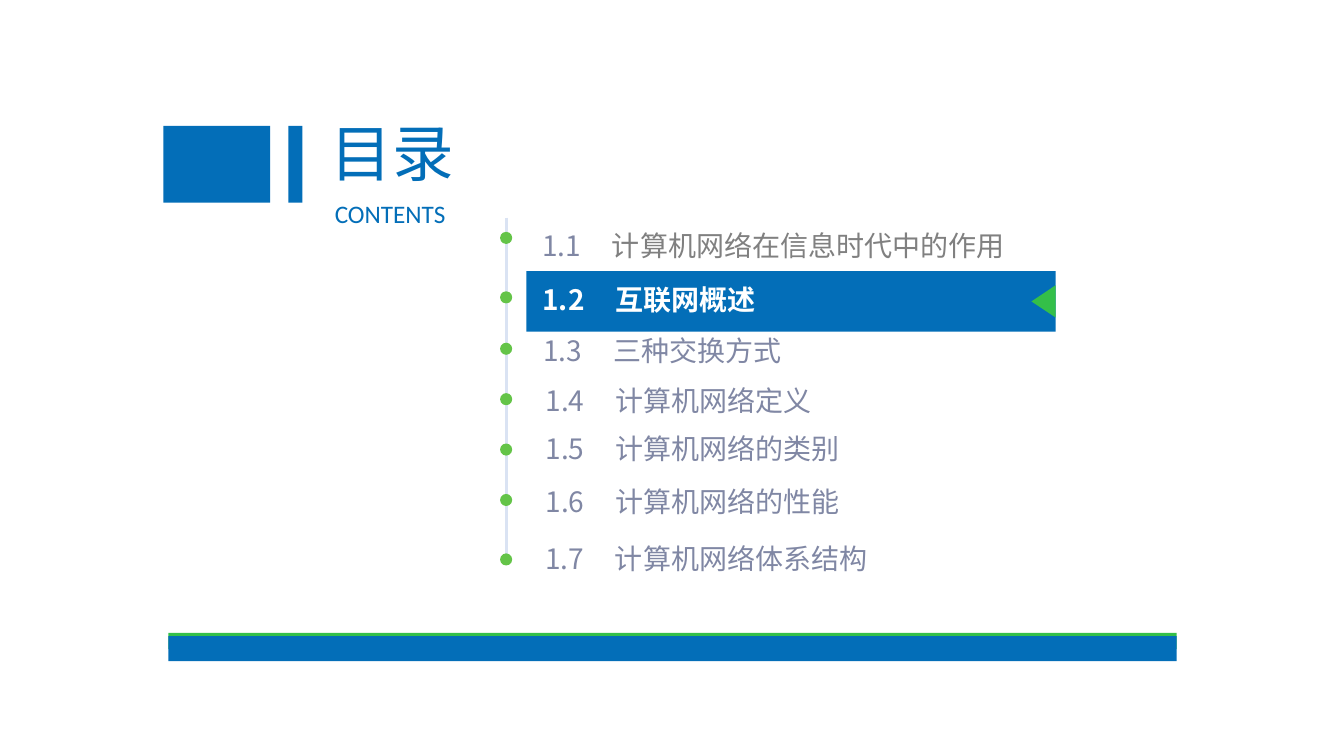
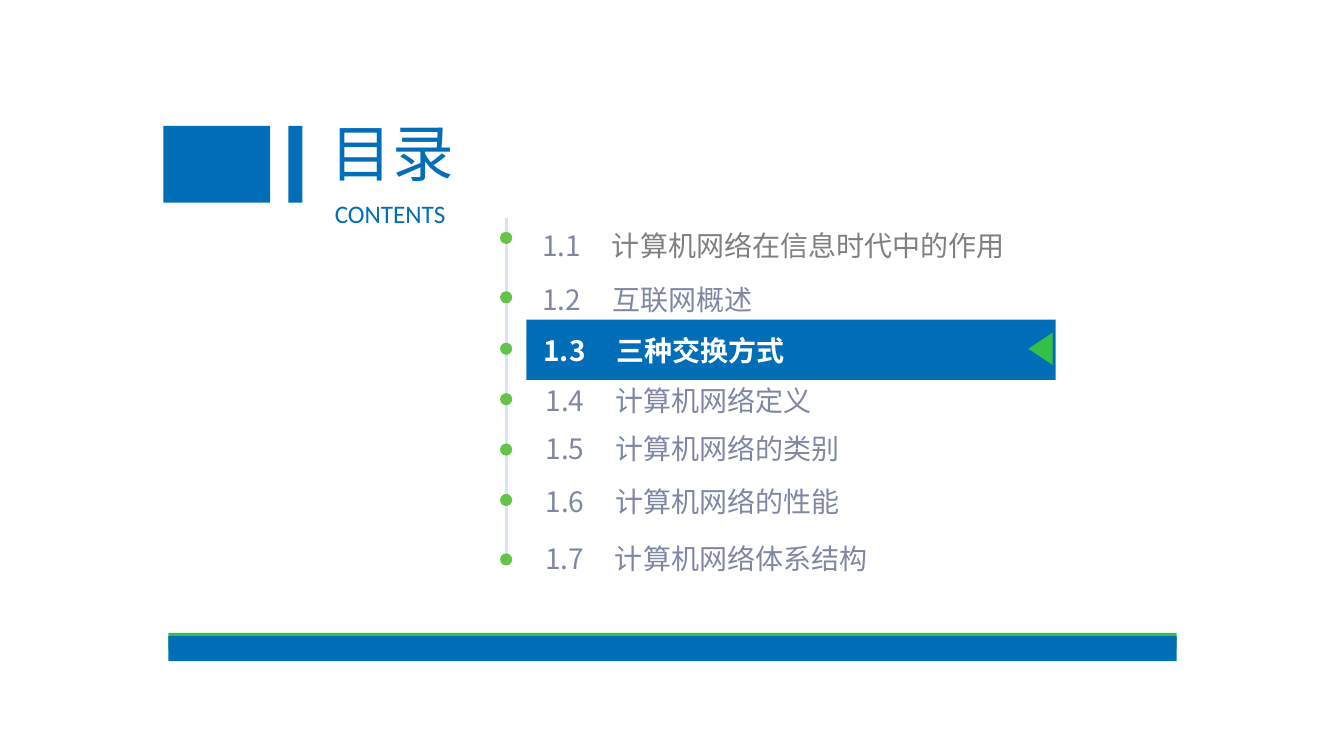
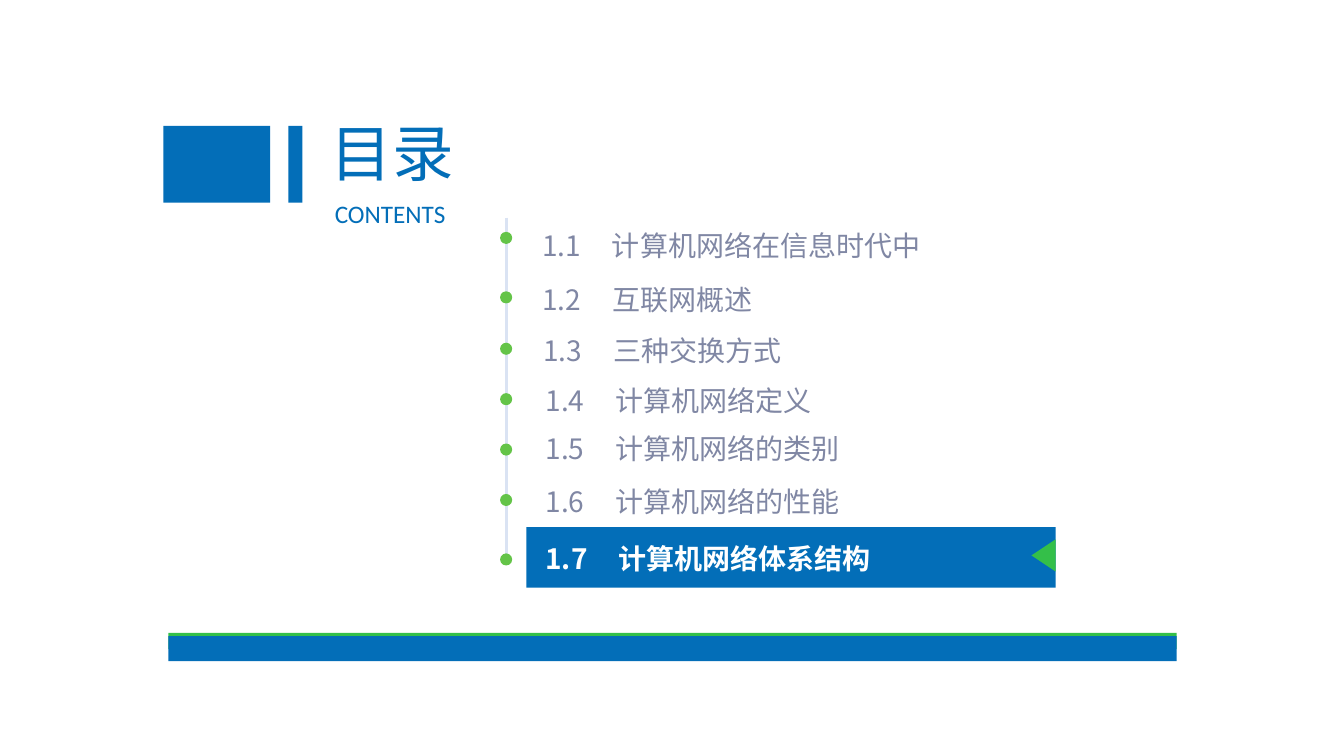
from typing import NamedTuple

from lxml.etree import SubElement
from pptx import Presentation
from pptx.dml.color import RGBColor
from pptx.enum.shapes import MSO_CONNECTOR, MSO_SHAPE
from pptx.enum.text import MSO_AUTO_SIZE
from pptx.oxml.ns import qn
from pptx.oxml.xmlchemy import OxmlElement
from pptx.shapes.autoshape import Shape
from pptx.slide import Slide
from pptx.text.text import _Paragraph
from pptx.util import Inches, Pt

BLUE = RGBColor(0x03, 0x6E, 0xB8)
GREEN = RGBColor(0x34, 0xBF, 0x49)
DOT_GREEN = RGBColor(0x64, 0xC4, 0x48)
RAIL = RGBColor(0xDA, 0xE3, 0xF3)
SLATE = RGBColor(0x80, 0x87, 0xA4)
GRAY = RGBColor(0x80, 0x80, 0x80)
WHITE = RGBColor(0xFF, 0xFF, 0xFF)
CJK_FONT = "Noto Sans CJK SC"
LATIN_FONT = "Calibri"

RAIL_X = 5.02
DOT_SIZE = 0.12


class Box(NamedTuple):
    left: float
    top: float
    width: float
    height: float


class Bar(NamedTuple):
    box: Box
    color: RGBColor


class Entry(NamedTuple):
    number: str
    title: str
    left: float
    top: float
    dot_y: float


class Agenda(NamedTuple):
    active: str
    band_top: float
    arrow_left: float
    arrow_top: float
    first_title: str
    first_color: RGBColor


BARS = [
    Bar(Box(1.62, 1.25, 1.06, 0.76), BLUE),
    Bar(Box(2.86, 1.25, 0.14, 0.76), BLUE),
    Bar(Box(1.67, 6.28, 10, 0.16), GREEN),
    Bar(Box(1.67, 6.31, 10, 0.25), BLUE),
]

FIRST_TITLE = "计算机网络在信息时代中的作用"

ENTRIES = [
    Entry("1.1", FIRST_TITLE, 5.38, 2.27, 2.36),
    Entry("1.2", "互联网概述", 5.38, 2.8, 2.95),
    Entry("1.3", "三种交换方式", 5.39, 3.31, 3.46),
    Entry("1.4", "计算机网络定义", 5.41, 3.8, 3.96),
    Entry("1.5", "计算机网络的类别", 5.41, 4.28, 4.46),
    Entry("1.6", "计算机网络的性能", 5.41, 4.81, 4.96),
    Entry("1.7", "计算机网络体系结构", 5.41, 5.37, 5.55),
]

AGENDAS = [
    Agenda("1.2", 2.69, 10.19, 2.87, FIRST_TITLE, GRAY),
    Agenda("1.3", 3.17, 10.16, 3.34, FIRST_TITLE, GRAY),
    Agenda("1.7", 5.23, 10.19, 5.39, "计算机网络在信息时代中", SLATE),
]


def add_filled(s: Slide, kind: MSO_SHAPE, box: Box, color: RGBColor) -> Shape:
    sp = s.shapes.add_shape(kind, *map(Inches, box))
    sp.shadow.inherit = False
    sp.fill.solid()
    sp.fill.fore_color.rgb = color
    sp.line.fill.background()
    return sp


def add_text(s: Slide, box: Box, text: str, size: float, leading: float,
             font: str, color: RGBColor, bold: bool = False) -> _Paragraph:
    tf = s.shapes.add_textbox(*map(Inches, box)).text_frame
    tf.word_wrap = True
    tf.auto_size = MSO_AUTO_SIZE.SHAPE_TO_FIT_TEXT
    tf.margin_left = tf.margin_top = tf.margin_right = 0
    tf.margin_bottom = Inches(0.05)
    p = tf.paragraphs[0]
    p.line_spacing = Pt(leading)
    p.font.size = Pt(size)
    p.font.bold = bold
    p.font.color.rgb = color
    p.font.name = font
    SubElement(p._p.pPr.find(qn("a:defRPr")), qn("a:ea"), typeface=font)
    p.add_run().text = text
    return p


def add_tab_stop(p: _Paragraph, position: float) -> None:
    tabs = OxmlElement("a:tabLst")
    SubElement(tabs, qn("a:tab"), pos=str(Inches(position)), algn="l")
    p._p.pPr.find(qn("a:defRPr")).addprevious(tabs)


def add_rail(s: Slide) -> None:
    rail = s.shapes.add_connector(MSO_CONNECTOR.STRAIGHT, Inches(RAIL_X), Inches(2.16),
                                  Inches(RAIL_X), Inches(5.61))
    rail.line.color.rgb = RAIL
    rail.line.width = Pt(2.25)
    SubElement(rail._element.spPr, qn("a:effectLst"))


def add_frame(s: Slide) -> None:
    for bar in BARS:
        add_filled(s, MSO_SHAPE.RECTANGLE, bar.box, bar.color)
    add_text(s, Box(3.28, 0.91, 1.25, 0.92), "目录", 44, 69.3, CJK_FONT, BLUE)
    add_text(s, Box(3.32, 2.05, 1.39, 0.28), "CONTENTS", 18, 16, LATIN_FONT, BLUE)


def add_entry(s: Slide, entry: Entry, title: str, color: RGBColor, active: bool) -> None:
    dot = Box(RAIL_X - DOT_SIZE / 2, entry.dot_y - DOT_SIZE / 2, DOT_SIZE, DOT_SIZE)
    add_filled(s, MSO_SHAPE.OVAL, dot, DOT_GREEN)
    box = Box(entry.left, entry.top, 0.75 + 0.28 * len(entry.title), 0.39)
    p = add_text(s, box, f"{entry.number}\t", 20, 24, CJK_FONT,
                 WHITE if active else SLATE, active)
    add_tab_stop(p, 0.72 if active else 0.69)
    r = p.add_run()
    r.text = title
    if color != SLATE:
        r.font.color.rgb = color


def add_agenda(s: Slide, agenda: Agenda) -> None:
    add_filled(s, MSO_SHAPE.RECTANGLE, Box(5.22, agenda.band_top, 5.25, 0.6), BLUE)
    arrow = add_filled(s, MSO_SHAPE.ISOSCELES_TRIANGLE,
                       Box(agenda.arrow_left, agenda.arrow_top, 0.32, 0.24), GREEN)
    arrow.rotation = 270
    add_rail(s)
    add_frame(s)
    first, *others = ENTRIES
    add_entry(s, first, agenda.first_title, agenda.first_color, False)
    for entry in others:
        add_entry(s, entry, entry.title, SLATE, entry.number == agenda.active)


def main() -> None:
    prs = Presentation()
    prs.slide_width = Inches(13.33)
    prs.slide_height = Inches(7.5)
    for agenda in AGENDAS:
        add_agenda(prs.slides.add_slide(prs.slide_layouts[6]), agenda)
    prs.save("out.pptx")


if __name__ == "__main__":
    main()
